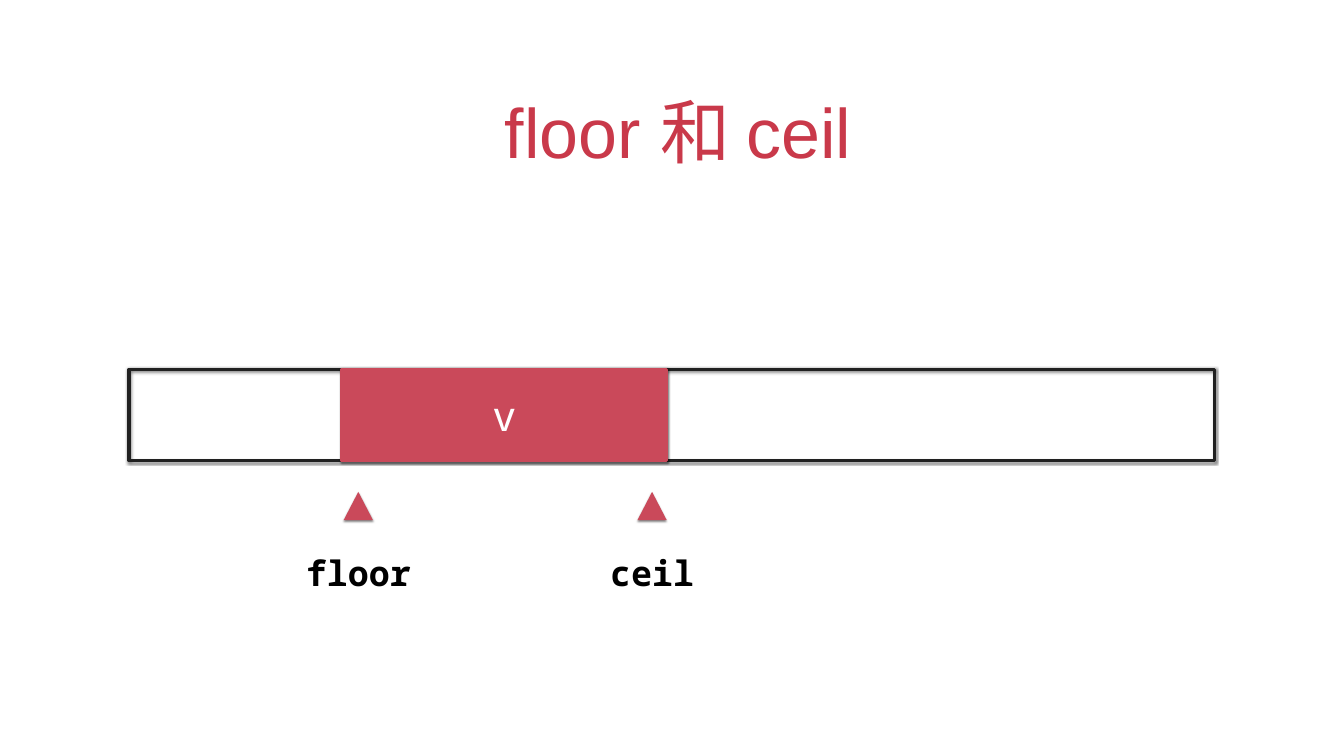
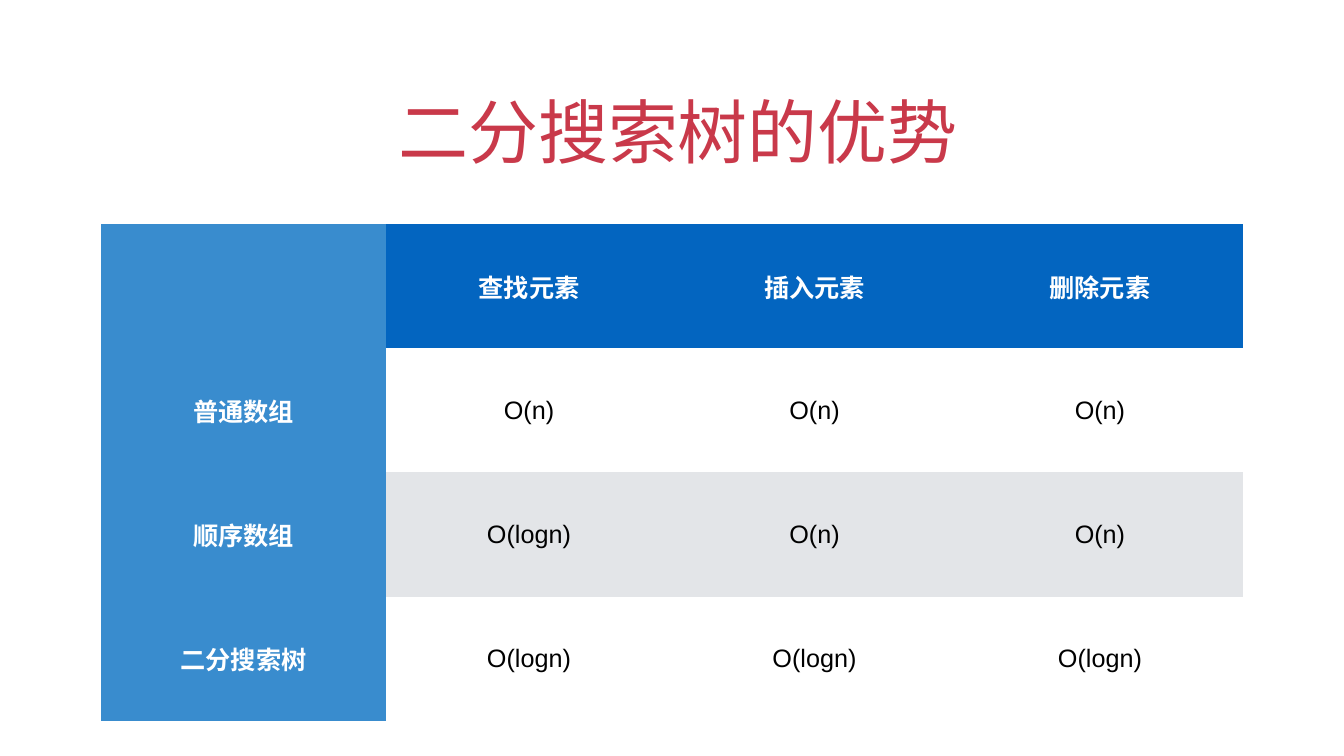
import lxml.etree
import pptx
import pptx.dml.color
import pptx.enum.shapes
import pptx.enum.text
import pptx.oxml.ns
import pptx.util

Inches = pptx.util.Inches
ANCHOR = pptx.enum.text.MSO_ANCHOR
MARGINS = ("margin_left", "margin_top", "margin_right", "margin_bottom")

TITLE_RED, ACCENT_RED = "C9394A", "CA495A"
BLACK, WHITE, OUTLINE = "000000", "FFFFFF", "212121"
HEADER_BLUE, LABEL_BLUE, BAND_GREY = "0365C0", "398CCE", "E3E5E8"

TITLE = {"size": 100, "color": TITLE_RED}
VALUE = {"size": 60, "color": WHITE}
MARKER_LABEL = {"size": 50, "color": BLACK, "name": "Noto Sans Mono", "bold": True}
TABLE_HEADING = {"size": 36, "color": WHITE, "bold": True}
TABLE_TEXT = {"size": 36, "color": BLACK, "bold": False}

COMPLEXITIES = [
    ["", "查找元素", "插入元素", "删除元素"],
    ["普通数组", "O(n)", "O(n)", "O(n)"],
    ["顺序数组", "O(logn)", "O(n)", "O(n)"],
    ["二分搜索树", "O(logn)", "O(logn)", "O(logn)"],
]


def rgb(value):
    return pptx.dml.color.RGBColor.from_string(value)


def add_element(parent, tag, **attributes):
    element = lxml.etree.SubElement(parent, pptx.oxml.ns.qn(tag))
    for name, value in attributes.items():
        element.set(name, str(value))
    return element


def set_margins(target):
    for margin in MARGINS:
        setattr(target, margin, Inches(0.06))


def write(frame, text, style):
    """Put one centred paragraph in a text frame and return it."""
    paragraph = frame.paragraphs[0]
    paragraph.alignment = pptx.enum.text.PP_ALIGN.CENTER
    run = paragraph.add_run()
    run.text = text
    values = {"name": "Arial", **style}
    run.font.color.rgb = rgb(values.pop("color"))
    values["size"] = pptx.util.Pt(values["size"])
    for name, value in values.items():
        setattr(run.font, name, value)
    return paragraph


def add_text(slide, box, text, style, anchor, wrap):
    frame = slide.shapes.add_textbox(*map(Inches, box)).text_frame
    frame.word_wrap = wrap
    frame.vertical_anchor = anchor
    set_margins(frame)
    return frame, write(frame, text, style)


def add_title(slide, text):
    box = (1.94, 1.27, 22.78, 2.22)
    _, paragraph = add_text(slide, box, text, TITLE, ANCHOR.BOTTOM, True)
    paragraph._p.get_or_add_pPr().set("indent", str(Inches(0.25)))


def style_shape(shape, fill=None, line=None):
    """Set fill and outline, and give the shape its soft shadow."""
    if fill:
        shape.fill.solid()
        shape.fill.fore_color.rgb = rgb(fill)
    else:
        shape.fill.background()
    if line:
        shape.line.color.rgb = rgb(line)
        shape.line.width = pptx.util.Pt(5)
    else:
        shape.line.fill.background()
    shape.shadow.inherit = False
    effects = shape._element.spPr.find(pptx.oxml.ns.qn("a:effectLst"))
    shadow = add_element(effects, "a:outerShdw", blurRad=pptx.util.Pt(3),
                         dist=pptx.util.Pt(2), dir=90 * 60000, rotWithShape=0)
    color = add_element(shadow, "a:srgbClr", val=BLACK)
    add_element(color, "a:alpha", val=50000)


def add_bar(slide, box, fill, line):
    shape = slide.shapes.add_shape(
        pptx.enum.shapes.MSO_SHAPE.RECTANGLE, *map(Inches, box))
    style_shape(shape, fill, line)
    return shape


def add_marker(slide, center, top, text, label_width):
    """Draw a small upward triangle with its label centred below."""
    half, height = 0.29, 0.56
    builder = slide.shapes.build_freeform(Inches(center), Inches(top))
    builder.add_line_segments([
        (Inches(center + half), Inches(top + height)),
        (Inches(center - half), Inches(top + height)),
    ])
    style_shape(builder.convert_to_shape(), ACCENT_RED)
    box = (center - label_width / 2, top + 1.14, label_width, 0.92)
    frame, _ = add_text(slide, box, text, MARKER_LABEL, ANCHOR.MIDDLE, False)
    frame.auto_size = pptx.enum.text.MSO_AUTO_SIZE.SHAPE_TO_FIT_TEXT


def add_array_diagram(slide, left, top, width, height):
    """Draw the array, its run of equal values and the two end markers."""
    add_bar(slide, (left, top, width, height), None, OUTLINE)
    run_box = (left + 4.23, top, 6.44, height)
    run = add_bar(slide, run_box, ACCENT_RED, ACCENT_RED)
    run.text_frame.vertical_anchor = ANCHOR.MIDDLE
    set_margins(run.text_frame)
    write(run.text_frame, "v", VALUE)
    for text, offset, label_width in (("floor", 4.55, 2.22), ("ceil", 10.38, 1.8)):
        add_marker(slide, left + offset, top + 2.43, text, label_width)


def cell_fill(row, column):
    if column == 0:
        return LABEL_BLUE
    if row == 0:
        return HEADER_BLUE
    return BAND_GREY if row % 2 == 0 else WHITE


def add_complexity_table(slide, left, top, width, height):
    row_count, column_count = len(COMPLEXITIES), len(COMPLEXITIES[0])
    table = slide.shapes.add_table(
        row_count, column_count, *map(Inches, (left, top, width, height))).table
    for column in table.columns:
        column.width = Inches(width / column_count)
    for row in table.rows:
        row.height = Inches(height / row_count)
    for row, texts in enumerate(COMPLEXITIES):
        for column, text in enumerate(texts):
            cell = table.cell(row, column)
            properties = cell._tc.get_or_add_tcPr()
            for side in ("a:lnL", "a:lnR", "a:lnT", "a:lnB"):
                add_element(add_element(properties, side, w=0), "a:noFill")
            cell.fill.solid()
            cell.fill.fore_color.rgb = rgb(cell_fill(row, column))
            cell.vertical_anchor = ANCHOR.MIDDLE
            set_margins(cell)
            if text:
                heading = row == 0 or column == 0
                write(cell.text_frame, text, TABLE_HEADING if heading else TABLE_TEXT)


def main():
    presentation = pptx.Presentation()
    presentation.slide_width = Inches(26.67)
    presentation.slide_height = Inches(15)
    pages = (
        ("floor 和 ceil", add_array_diagram, (2.56, 7.33, 21.54, 1.81)),
        ("二分搜索树的优势", add_complexity_table, (2, 4.45, 22.66, 9.85)),
    )
    for title, add_content, box in pages:
        slide = presentation.slides.add_slide(presentation.slide_layouts[6])
        add_title(slide, title)
        add_content(slide, *box)
    presentation.save("out.pptx")


if __name__ == "__main__":
    main()
